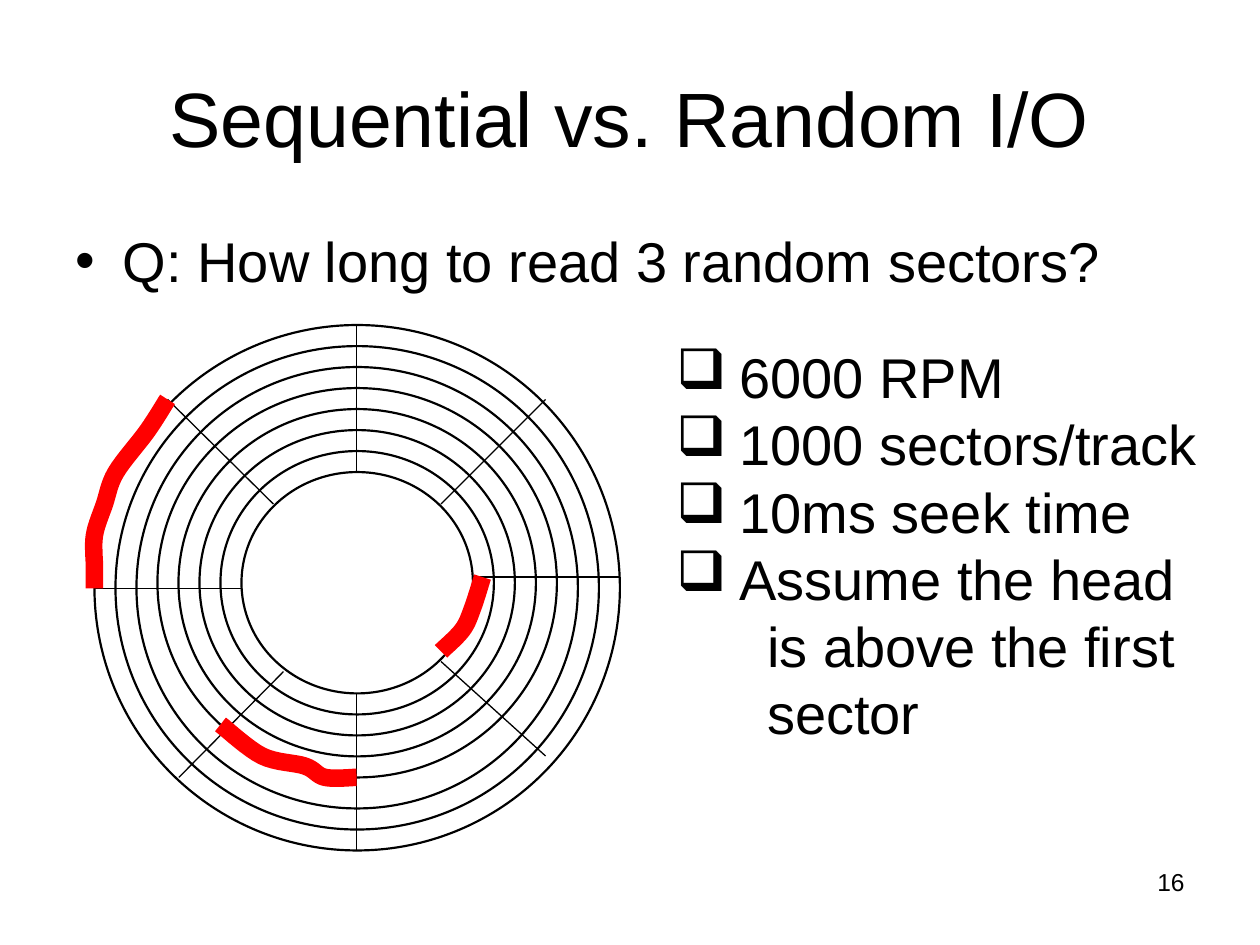
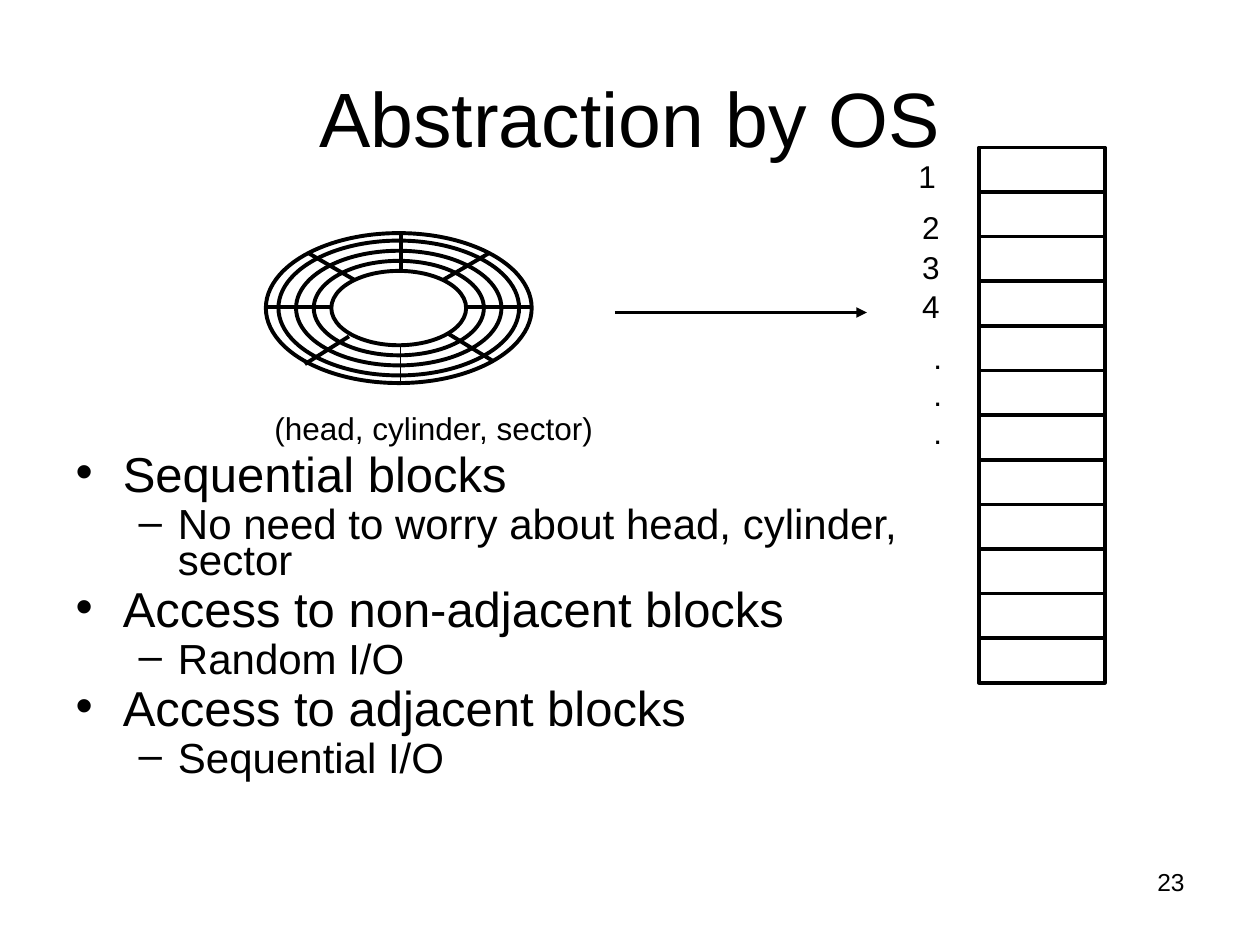
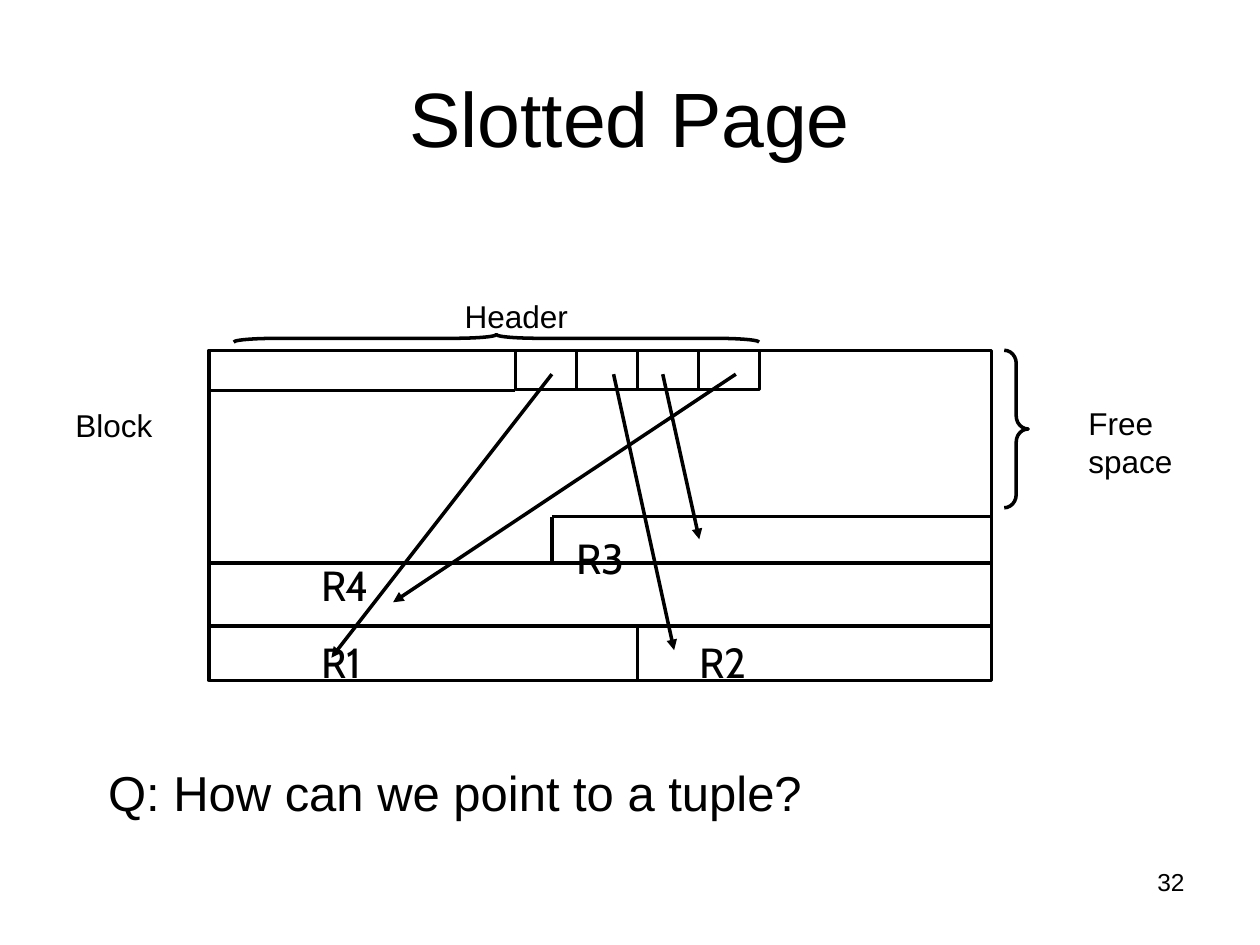
import pptx
import pptx.dml.color
import pptx.enum.shapes
import pptx.enum.text
import pptx.oxml
import pptx.oxml.ns
import pptx.util
from lxml import etree

Inches = pptx.util.Inches
Pt = pptx.util.Pt
SHAPE = pptx.enum.shapes.MSO_SHAPE
ALIGN = pptx.enum.text.PP_ALIGN
ANCHOR = pptx.enum.text.MSO_ANCHOR
NO_FIT = pptx.enum.text.MSO_AUTO_SIZE.NONE

COLORS = {"ink": "000000", "paper": "FFFFFF", "track": "FF0000"}
BODY_FONT = "Arial"
RECORD_FONT = "Cabin"


def color(name):
    return pptx.dml.color.RGBColor.from_string(COLORS[name])


def add_child(parent, tag, **attributes):
    child = etree.SubElement(parent, pptx.oxml.ns.qn(tag))
    for key, value in attributes.items():
        child.set(key, str(value))
    return child


# Text

def write(paragraph, text, size=18, font=BODY_FONT, align=None, before=0,
          spacing=None, level=0, bullet=None, margin=None, tab=None):
    """Fill one paragraph; \\v in the text breaks the line."""
    paragraph.text = text
    paragraph.level = level
    paragraph.alignment = align
    paragraph.space_before = Pt(before)
    if spacing:
        paragraph.line_spacing = spacing
    properties = paragraph._p.get_or_add_pPr()
    if margin:
        properties.set("marL", str(Inches(margin)))
        properties.set("indent", str(Inches(-margin if bullet else 0)))
    if bullet:
        add_child(properties, "a:buChar", char=bullet)
    if tab:
        add_child(add_child(properties, "a:tabLst"), "a:tab", pos=Inches(tab), algn="l")
    for run in paragraph.runs:
        run.font.size = Pt(size)
        run.font.name = font
        run.font.color.rgb = color("ink")


def write_all(frame, items, **shared):
    """Write (text, format) items as the paragraphs of a text frame."""
    for index, (text, own) in enumerate(items):
        paragraph = frame.add_paragraph() if index else frame.paragraphs[0]
        options = {**shared, **own}
        if index == 0:
            options["before"] = 0
        write(paragraph, text, **options)


def add_label(slide, left, top, width, height, *lines, anchor=ANCHOR.TOP, **format):
    box = slide.shapes.add_textbox(Inches(left), Inches(top), Inches(width), Inches(height))
    frame = box.text_frame
    frame.word_wrap = True
    frame.vertical_anchor = anchor
    items = [line if isinstance(line, tuple) else (line, {}) for line in lines]
    write_all(frame, items, **format)


# Drawing

def style(shape, weight, fill=None, line="ink"):
    shape.shadow.inherit = False
    if fill:
        shape.fill.solid()
        shape.fill.fore_color.rgb = color(fill)
    else:
        shape.fill.background()
    shape.line.color.rgb = color(line)
    shape.line.width = Pt(weight)
    return shape


def add_figure(slide, preset, left, top, width, height, weight=2, fill=None):
    shape = slide.shapes.add_shape(
        preset, Inches(left), Inches(top), Inches(width), Inches(height))
    return style(shape, weight, fill)


def add_line(slide, x1, y1, x2, y2, weight=2, arrow=False):
    line = slide.shapes.add_connector(
        pptx.enum.shapes.MSO_CONNECTOR.STRAIGHT,
        Inches(x1), Inches(y1), Inches(x2), Inches(y2))
    line.line.color.rgb = color("ink")
    line.line.width = Pt(weight)
    if arrow:
        add_child(line.line._get_or_add_ln(), "a:tailEnd", type="triangle")
    add_child(line._element.spPr, "a:effectLst")


def add_brace(slide, left, top, width, height, rotation=0):
    brace = add_figure(slide, SHAPE.RIGHT_BRACE, left, top, width, height)
    brace.adjustments[0] = height / 12 / width
    brace.rotation = rotation


def smooth_points(knots, steps=8):
    """Catmull-Rom curve through the knots."""
    padded = [knots[0], *knots, knots[-1]]
    points = [knots[0]]
    for a, b, c, d in zip(padded, padded[1:], padded[2:], padded[3:]):
        for step in range(1, steps + 1):
            t = step / steps
            points.append(tuple(
                0.5 * (2 * q + (r - p) * t + (2 * p - 5 * q + 4 * r - s) * t ** 2
                       + (3 * q - p - 3 * r + s) * t ** 3)
                for p, q, r, s in zip(a, b, c, d)))
    return points


def add_sector(slide, left, top, knots):
    points = [(Inches(left + x), Inches(top + y)) for x, y in smooth_points(knots)]
    builder = slide.shapes.build_freeform(*points[0])
    builder.add_line_segments(points[1:], close=False)
    style(builder.convert_to_shape(), 10, line="track")


def draw_disk(slide, left, top, width, height, rings, spokes, ring_weight, fill=None):
    """Rings are (side, top, bottom) insets; spokes are (x1, y1, x2, y2, weight)."""
    for side, upper, lower in rings:
        add_figure(slide, SHAPE.OVAL, left + side, top + upper,
                   width - 2 * side, height - upper - lower, ring_weight, fill)
    for x1, y1, x2, y2, weight in spokes:
        add_line(slide, left + x1, top + y1, left + x2, top + y2, weight)


# Shared slide frame

def new_slide(deck, title, number, with_body=True):
    slide = deck.slides.add_slide(deck.slide_layouts[1])
    heading = slide.shapes.title.text_frame
    heading.auto_size = NO_FIT
    write(heading.paragraphs[0], title, size=44, align=ALIGN.CENTER)
    add_label(slide, 7.17, 6.83, 2.33, 0.52, str(number), size=14, align=ALIGN.RIGHT)
    body = slide.placeholders[1]
    if with_body:
        body.text_frame.auto_size = NO_FIT
    else:
        body._element.getparent().remove(body._element)
    return slide


# Sequential vs. random I/O

def draw_sector_disk(slide, left, top):
    rings = [(i / 6, i / 6, i / 6 + (0.08 if i >= 3 else 0)) for i in range(8)]
    spokes = [
        (2.08, 0, 2.08, 1.17), (2.08, 2.92, 2.08, 4.17),
        (3, 2, 4.17, 2), (0, 2.09, 1.17, 2.09),
        (0.58, 0.59, 1.42, 1.42), (2.75, 2.67, 3.58, 3.42),
        (2.75, 1.42, 3.58, 0.59), (1.5, 2.75, 0.67, 3.59),
    ]
    draw_disk(slide, left, top, 4.17, 4.17, rings,
              [(*spoke, 0.75) for spoke in spokes], 1.25)
    sectors = [
        [(0.58, 0.59), (0.42, 0.84), (0.17, 1.17), (0.08, 1.42),
         (0, 1.67), (0, 1.92), (0, 2.09)],
        [(1, 3.17), (1.33, 3.42), (1.67, 3.5), (1.83, 3.59), (2.08, 3.59)],
        [(2.75, 2.59), (2.92, 2.42), (3, 2.25), (3.08, 2)],
    ]
    for knots in sectors:
        add_sector(slide, left, top, knots)


def random_io_slide(deck):
    slide = new_slide(deck, "Sequential vs. Random I/O", 16)
    write(slide.placeholders[1].text_frame.paragraphs[0],
          "Q: How long to read 3 random sectors?", size=32)
    draw_sector_disk(slide, 0.75, 2.58)
    facts = ["6000 RPM", "1000 sectors/track", "10ms seek time", "Assume the head"]
    add_label(slide, 5.27, 2.67, 4.6, 3.3,
              *[(fact, {"bullet": "❑", "margin": 0.5}) for fact in facts],
              ("is above the first\vsector", {"margin": 0.72}), size=32)


# Abstraction by OS

def draw_small_disk(slide, left, top):
    rings = [(0, 0, 0), (0.1, 0.06, 0.06)]
    rings += [(0.24 + 0.14 * i, 0.14 + 0.08 * i, 0.14 + 0.08 * i) for i in range(3)]
    bold = [
        (1.07, 0.3, 1.07, 0), (2.11, 0.59, 1.59, 0.59), (0.52, 0.59, 0, 0.59),
        (1.77, 0.16, 1.41, 0.37), (0.66, 0.82, 0.31, 1.04),
        (1.45, 0.8, 1.81, 1.02), (0.34, 0.16, 0.7, 0.37),
    ]
    spokes = [(1.07, 1.19, 1.07, 0.9, 0.75)] + [(*spoke, 2.25) for spoke in bold]
    draw_disk(slide, left, top, 2.11, 1.19, rings, spokes, 2.25, "paper")
    add_label(slide, left - 0.03, top + 1.35, 2.9, 0.4, "(head, cylinder, sector)")


def draw_block_column(slide, left, top, count=12, height=4.25):
    step = height / count
    for index in range(count):
        add_figure(slide, SHAPE.RECTANGLE, left, top + index * step, 1, step)
    label_places = [(-0.58, 0.03), (-0.55, 0.43), (-0.55, 0.75), (-0.55, 1.06)]
    for number, (x, y) in enumerate(label_places, 1):
        add_label(slide, left + x, top + y, 0.4, 0.4, str(number))
    add_label(slide, left - 0.46, top + 1.46, 0.3, 1, ".", ".", ".")


def abstraction_slide(deck):
    slide = new_slide(deck, "Abstraction by OS", 23)
    body = slide.placeholders[1]
    body.left, body.top = Inches(0.5), Inches(3.6)
    body.width, body.height = Inches(9), Inches(3.1)
    points = [
        ("Sequential blocks", "No need to worry about head, cylinder,\vsector"),
        ("Access to non-adjacent blocks", "Random I/O"),
        ("Access to adjacent blocks", "Sequential I/O"),
    ]
    items = []
    for point, detail in points:
        items += [(point, {"size": 28, "before": 7}),
                  (detail, {"size": 24, "before": 6, "level": 1})]
    write_all(body.text_frame, items, spacing=0.7)
    draw_small_disk(slide, 2.11, 1.85)
    draw_block_column(slide, 7.77, 1.17)
    add_line(slide, 4.88, 2.48, 6.88, 2.48, arrow=True)


# Slotted page

def draw_page(slide, left, top, width=6.21, height=2.62):
    block = add_figure(slide, SHAPE.RECTANGLE, left, top, width, height, fill="paper")
    block.text_frame.vertical_anchor = ANCHOR.MIDDLE
    write(block.text_frame.paragraphs[0], "R3", size=24, font=RECORD_FONT,
          align=ALIGN.CENTER, spacing=2.7)

    # Record borders
    borders = [
        (0, 2.19, width, 2.19), (0, 1.69, width, 1.69), (2.72, 1.32, width, 1.32),
        (2.72, 1.32, 2.72, 1.69), (3.4, 2.19, 3.4, height), (2.43, 0.32, 0, 0.32),
    ]
    for x1, y1, x2, y2 in borders:
        add_line(slide, left + x1, top + y1, left + x2, top + y2)
    add_label(slide, left + 0.79, top + 1.61, 3.6, 1.11, "R4",
              ("R1\tR2", {"before": 15, "tab": 3}),
              anchor=ANCHOR.MIDDLE, size=24, font=RECORD_FONT)

    # Header slots and their pointers
    slot_width = 0.485
    for slot in range(4):
        add_figure(slide, SHAPE.RECTANGLE, left + 2.43 + slot * slot_width, top,
                   slot_width, 0.31, fill="paper")
    pointers = [(2.72, 0.97, 2.44), (4.18, 1.46, 2), (3.6, 3.89, 1.5), (3.21, 3.69, 2.38)]
    for start, end, depth in pointers:
        add_line(slide, left + start, top + 0.19, left + end, top + depth, arrow=True)

    # Braces and captions
    add_brace(slide, left + width + 0.1, top, 0.19, 1.25)
    add_brace(slide, left + 2.25, top - 2.18, 0.06, 4.17, rotation=270)
    add_label(slide, left + 1.93, top - 0.47, 1.2, 0.4, "Header")
    add_label(slide, left - 1.16, top + 0.39, 1, 0.4, "Block")
    add_label(slide, left + 6.88, top + 0.38, 1, 0.7, "Free\vspace")


def slotted_page_slide(deck):
    slide = new_slide(deck, "Slotted Page", 32, with_body=False)
    draw_page(slide, 1.66, 2.78)
    add_label(slide, 0.76, 6, 6, 0.57, "Q: How can we point to a tuple?", size=28)


def main():
    deck = pptx.Presentation()
    deck.slide_width, deck.slide_height = Inches(10), Inches(7.5)
    random_io_slide(deck)
    abstraction_slide(deck)
    slotted_page_slide(deck)
    deck.save("out.pptx")


if __name__ == "__main__":
    main()
